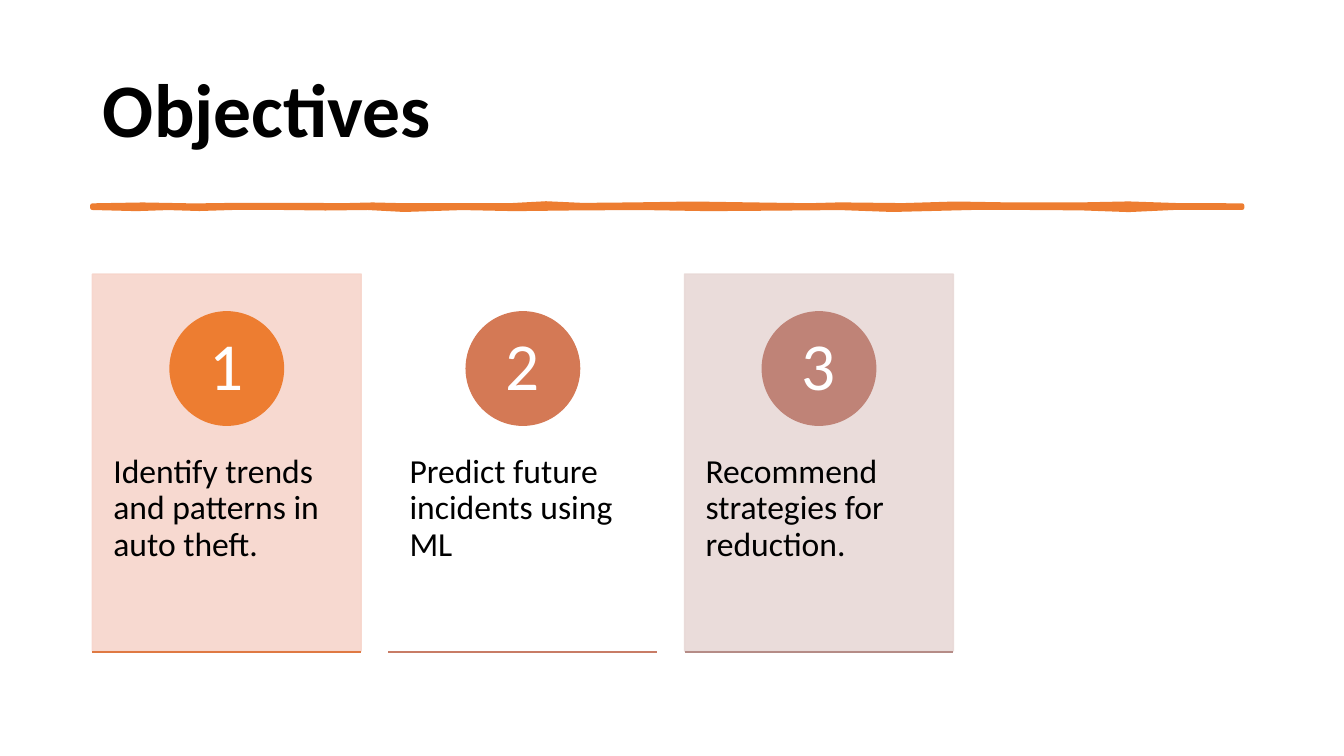
from lxml.etree import SubElement
from pptx import Presentation
from pptx.dml.color import RGBColor
from pptx.enum.shapes import MSO_CONNECTOR as Connector, MSO_SHAPE as Shape
from pptx.enum.text import MSO_ANCHOR as Anchor, PP_ALIGN as Align
from pptx.oxml.ns import qn
from pptx.util import Pt

PX = 9525
COLORS = {"black": "000000", "white": "FFFFFF", "orange": "ED7D31"}
CARDS = [
    ("1", "Identify trends and patterns in auto theft.", "ED7D31", "DF7943", "F7D5CB"),
    ("2", "Predict future incidents using ML", "D47955", "C87C66", None),
    ("3", "Recommend strategies for reduction.", "BF8377", "B58C87", "E8D9D7"),
]
CARD_LEFT, CARD_TOP, CARD_WIDTH, CARD_HEIGHT, CARD_STEP = 88, 261, 256, 359, 282
CIRCLE = 108
BRUSH_TOP = [
    (88, 1958), (136, 1950), (185, 1959), (230, 1953), (290, 1953), (325, 1957),
    (355, 1950), (385, 1957), (440, 1955), (485, 1957), (520, 1938), (555, 1954),
    (605, 1949), (660, 1941), (715, 1949), (770, 1957), (800, 1949), (860, 1956),
    (910, 1941), (960, 1949), (1030, 1949), (1075, 1940), (1120, 1955), (1183, 1958),
]
BRUSH_BOTTOM = [
    (1183, 1978), (1120, 1977), (1075, 1998), (1030, 1982), (980, 1978), (930, 1977),
    (850, 1997), (800, 1979), (745, 1984), (675, 1989), (620, 1980), (560, 1981),
    (490, 1989), (440, 1979), (385, 1997), (350, 1978), (310, 1983), (270, 1978),
    (225, 1977), (190, 1988), (160, 1979), (130, 1989), (88, 1978),
]


def write(frame, text, size, color, align, anchor, margins, bold=False):
    frame.word_wrap = True
    frame.vertical_anchor = anchor
    frame.margin_left = frame.margin_right = margins[0] * PX
    frame.margin_top = frame.margin_bottom = margins[1] * PX
    paragraph = frame.paragraphs[0]
    paragraph.alignment = align
    paragraph.line_spacing = 0.9
    run = paragraph.add_run()
    run.text = text
    run.font.name = "Calibri"
    run.font.size = Pt(size)
    run.font.bold = bold
    run.font.color.rgb = RGBColor.from_string(COLORS[color])


def paint(shape, color, width=1):
    shape.shadow.inherit = False
    shape.fill.solid()
    shape.fill.fore_color.rgb = RGBColor.from_string(color)
    shape.line.color.rgb = RGBColor.from_string(color)
    shape.line.width = Pt(width)


presentation = Presentation()
presentation.slide_width = 1280 * PX
presentation.slide_height = 720 * PX
slide = presentation.slides.add_slide(presentation.slide_layouts[5])

title = slide.shapes.title
title.left, title.top, title.width, title.height = 88 * PX, 38 * PX, 1104 * PX, 139 * PX
write(title.text_frame, "Objectives", 54, "black", Align.LEFT, Anchor.MIDDLE, (10, 5), True)

outline = [(x * 10, y) for x, y in BRUSH_TOP + BRUSH_BOTTOM]
builder = slide.shapes.build_freeform(*outline[0], scale=PX / 10)
builder.add_line_segments(outline[1:], close=True)
brush_stroke = builder.convert_to_shape()
paint(brush_stroke, COLORS["orange"], 3.25)

for index, (number, objective, circle_color, rule_color, card_color) in enumerate(CARDS):
    left = CARD_LEFT + index * CARD_STEP
    bottom = CARD_TOP + CARD_HEIGHT

    if card_color:
        card = slide.shapes.add_shape(
            Shape.RECTANGLE, left * PX, CARD_TOP * PX, CARD_WIDTH * PX, CARD_HEIGHT * PX)
        paint(card, card_color)
        for color in card.element.spPr.iter(qn("a:srgbClr")):
            SubElement(color, qn("a:alpha"), val="90000")

    caption = slide.shapes.add_textbox(left * PX, 398 * PX, CARD_WIDTH * PX, 216 * PX)
    write(caption.text_frame, objective, 24, "black", Align.LEFT, Anchor.TOP, (20, 35))

    circle = slide.shapes.add_shape(
        Shape.OVAL, (left + (CARD_WIDTH - CIRCLE) // 2) * PX, 297 * PX, CIRCLE * PX, CIRCLE * PX)
    paint(circle, circle_color)
    write(circle.text_frame, number, 48, "white", Align.CENTER, Anchor.MIDDLE, (9, 1))

    rule = slide.shapes.add_connector(
        Connector.STRAIGHT, left * PX, (bottom + 1) * PX, (left + CARD_WIDTH) * PX, (bottom + 1) * PX)
    rule.line.color.rgb = RGBColor.from_string(rule_color)
    rule.line.width = Pt(1)
    SubElement(rule.element.spPr, qn("a:effectLst"))

presentation.save("out.pptx")
